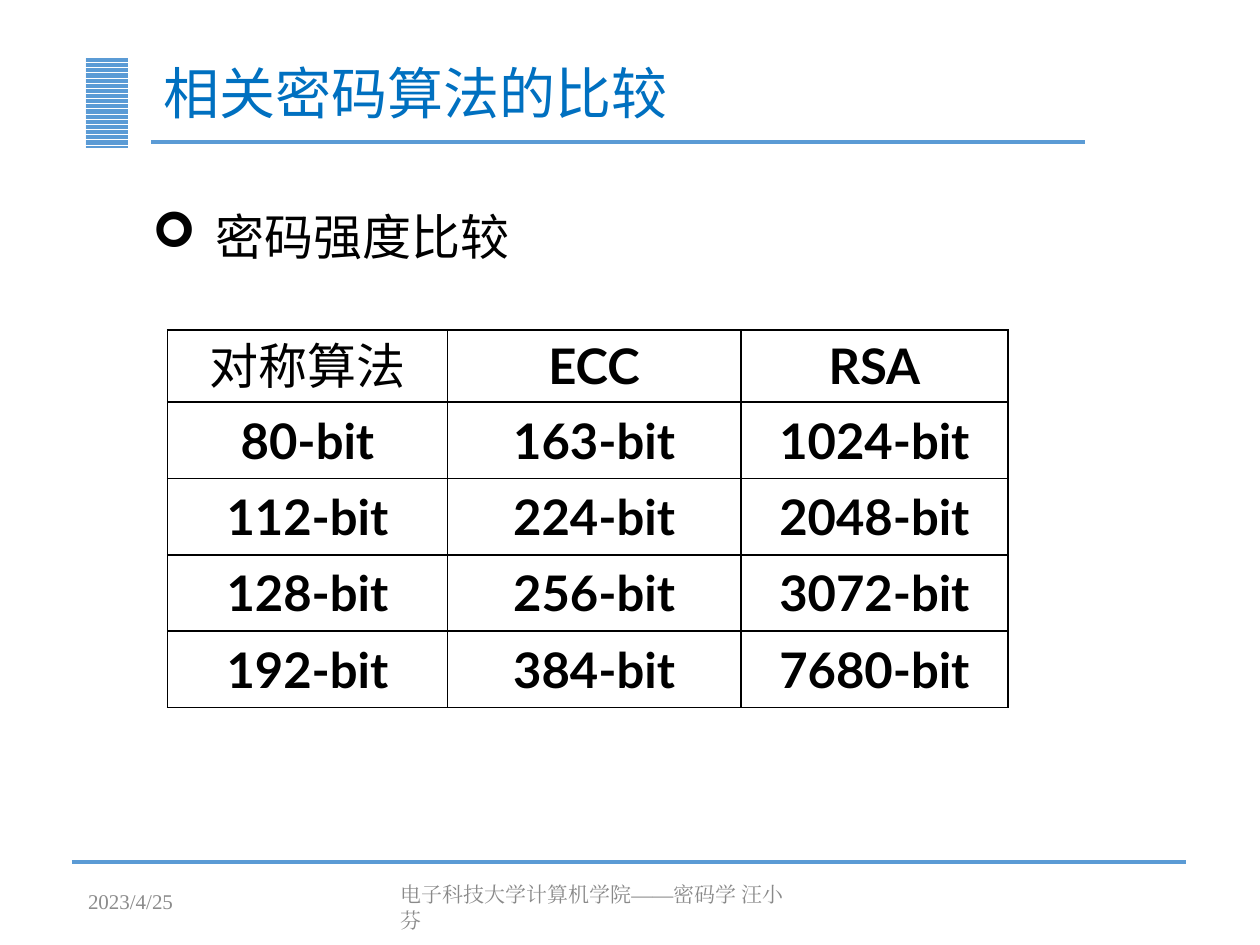
import pptx
import pptx.dml.color
import pptx.enum.dml
import pptx.enum.shapes
import pptx.enum.text
import pptx.oxml
import pptx.oxml.ns
import pptx.util
from lxml import etree
from pptx.util import Inches

RGBColor = pptx.dml.color.RGBColor
ACCENT = RGBColor(0x5B, 0x9B, 0xD5)
TITLE_BLUE = RGBColor(0x00, 0x70, 0xC0)
BLACK = RGBColor(0, 0, 0)
WHITE = RGBColor(0xFF, 0xFF, 0xFF)
DATE_GRAY = RGBColor(0x8C, 0x8C, 0x8C)
FOOTER_GRAY = RGBColor(0x89, 0x89, 0x89)
ALIGN = pptx.enum.text.PP_ALIGN
ANCHOR = pptx.enum.text.MSO_ANCHOR

STRENGTHS = [
    ("对称算法", "ECC", "RSA"),
    ("80-bit", "163-bit", "1024-bit"),
    ("112-bit", "224-bit", "2048-bit"),
    ("128-bit", "256-bit", "3072-bit"),
    ("192-bit", "384-bit", "7680-bit"),
]
COLUMN_WIDTHS = (2.22, 2.33, 2.12)
ROW_HEIGHTS = (0.57, 0.6, 0.6, 0.6, 0.6)


def add_element(parent, tag, **attributes):
    """Append a DrawingML element with the given attributes."""
    element = etree.SubElement(parent, pptx.oxml.ns.qn(tag))
    for name, value in attributes.items():
        element.set(name, str(value))
    return element


def write_text(frame, text, font="Lato", size=28, color=BLACK, bold=False,
               align=ALIGN.LEFT, line_spacing=None):
    """Write one formatted paragraph into a text frame and return it."""
    paragraph = frame.paragraphs[0]
    paragraph.alignment = align
    if line_spacing:
        paragraph.line_spacing = line_spacing
    run = paragraph.add_run()
    run.text = text
    run.font.name = font
    run.font.size = pptx.util.Pt(size)
    run.font.bold = bold
    run.font.color.rgb = color
    add_element(run.font._element, "a:ea", typeface=font)
    return paragraph


def add_text(slide, box, text, anchor=ANCHOR.TOP, **text_format):
    """Add a wrapping text box and return its paragraph."""
    frame = slide.shapes.add_textbox(*map(Inches, box)).text_frame
    frame.word_wrap = True
    frame.vertical_anchor = anchor
    return write_text(frame, text, **text_format)


def add_rule(slide, left, top, width):
    """Draw a horizontal accent rule."""
    line = slide.shapes.add_connector(
        pptx.enum.shapes.MSO_CONNECTOR.STRAIGHT,
        Inches(left), Inches(top), Inches(left + width), Inches(top))
    line.line.color.rgb = ACCENT
    line.line.width = pptx.util.Pt(2.25)
    add_element(line._element.spPr, "a:effectLst")


def add_header(slide, left, top, width, height):
    """Draw the striped block, the title and the rule under it."""
    block = slide.shapes.add_shape(
        pptx.enum.shapes.MSO_SHAPE.RECTANGLE,
        Inches(left), Inches(top + 0.05), Inches(0.34), Inches(0.72))
    block.shadow.inherit = False
    block.fill.patterned()
    block.fill.pattern = pptx.enum.dml.MSO_PATTERN.DARK_HORIZONTAL
    block.fill.fore_color.rgb = ACCENT
    block.fill.back_color.rgb = WHITE
    block.line.fill.background()
    title_left, title_width = left + 0.52, width - 0.52
    add_rule(slide, title_left, top + height, title_width)
    add_text(slide, (title_left, top, title_width, height), "相关密码算法的比较",
             anchor=ANCHOR.MIDDLE, font="Noto Sans CJK SC", size=32,
             color=TITLE_BLUE, line_spacing=0.9)


def add_bullet_heading(slide, left, top, width, height):
    """Add the arrow-bulleted heading above the table."""
    paragraph = add_text(slide, (left, top, width, height), "密码强度比较",
                         align=ALIGN.CENTER)
    properties = paragraph._p.get_or_add_pPr()
    properties.set("marL", str(Inches(0.5)))
    properties.set("indent", str(Inches(-0.5)))
    add_element(properties, "a:buFont", typeface="Wingdings")
    add_element(properties, "a:buChar", char="➢")


def style_cell(cell):
    """Give a cell thin black borders and no fill."""
    properties = cell._tc.get_or_add_tcPr()
    for side in ("a:lnL", "a:lnR", "a:lnT", "a:lnB"):
        border = add_element(properties, side, w=pptx.util.Pt(1))
        fill = add_element(border, "a:solidFill")
        add_element(fill, "a:srgbClr", val=BLACK)
    cell.fill.background()


def add_strength_table(slide, left, top):
    """Add the table of equivalent key lengths."""
    table = slide.shapes.add_table(
        len(ROW_HEIGHTS), len(COLUMN_WIDTHS), Inches(left), Inches(top),
        Inches(sum(COLUMN_WIDTHS)), Inches(sum(ROW_HEIGHTS))).table
    table.first_row = table.horz_banding = False
    for column, width in zip(table.columns, COLUMN_WIDTHS):
        column.width = Inches(width)
    for row_index, (row, height) in enumerate(zip(table.rows, ROW_HEIGHTS)):
        row.height = Inches(height)
        for column_index, cell in enumerate(row.cells):
            style_cell(cell)
            if row_index:
                cell.vertical_anchor = ANCHOR.MIDDLE
                cell.margin_left = cell.margin_right = Inches(0.07)
                cell.margin_top = cell.margin_bottom = Inches(0.07)
            write_text(cell.text_frame, STRENGTHS[row_index][column_index],
                       bold=row_index + column_index > 0, align=ALIGN.CENTER)


def add_footer(slide, left, top, width):
    """Draw the footer rule, the date and the course line."""
    add_rule(slide, left, top, width)
    text_top = top + 0.11
    add_text(slide, (left + 0.03, text_top, 2.25, 0.4), "2023/4/25",
             anchor=ANCHOR.MIDDLE, font="Times New Roman", size=12,
             color=DATE_GRAY)
    add_text(slide, (left + 2.51, text_top, 3.33, 0.4),
             "电子科技大学计算机学院——密码学 汪小芬",
             font="Times New Roman", size=12, color=FOOTER_GRAY)


def main():
    """Build and save the slide."""
    presentation = pptx.Presentation()
    presentation.slide_width = Inches(10)
    presentation.slide_height = Inches(7.5)
    slide = presentation.slides.add_slide(presentation.slide_layouts[6])
    add_header(slide, 0.68, 0.4, 7.93, 0.73)
    add_bullet_heading(slide, 1, 1.59, 3.25, 0.57)
    add_strength_table(slide, 1.33, 2.62)
    add_footer(slide, 0.57, 6.84, 8.84)
    presentation.save("out.pptx")


if __name__ == "__main__":
    main()
